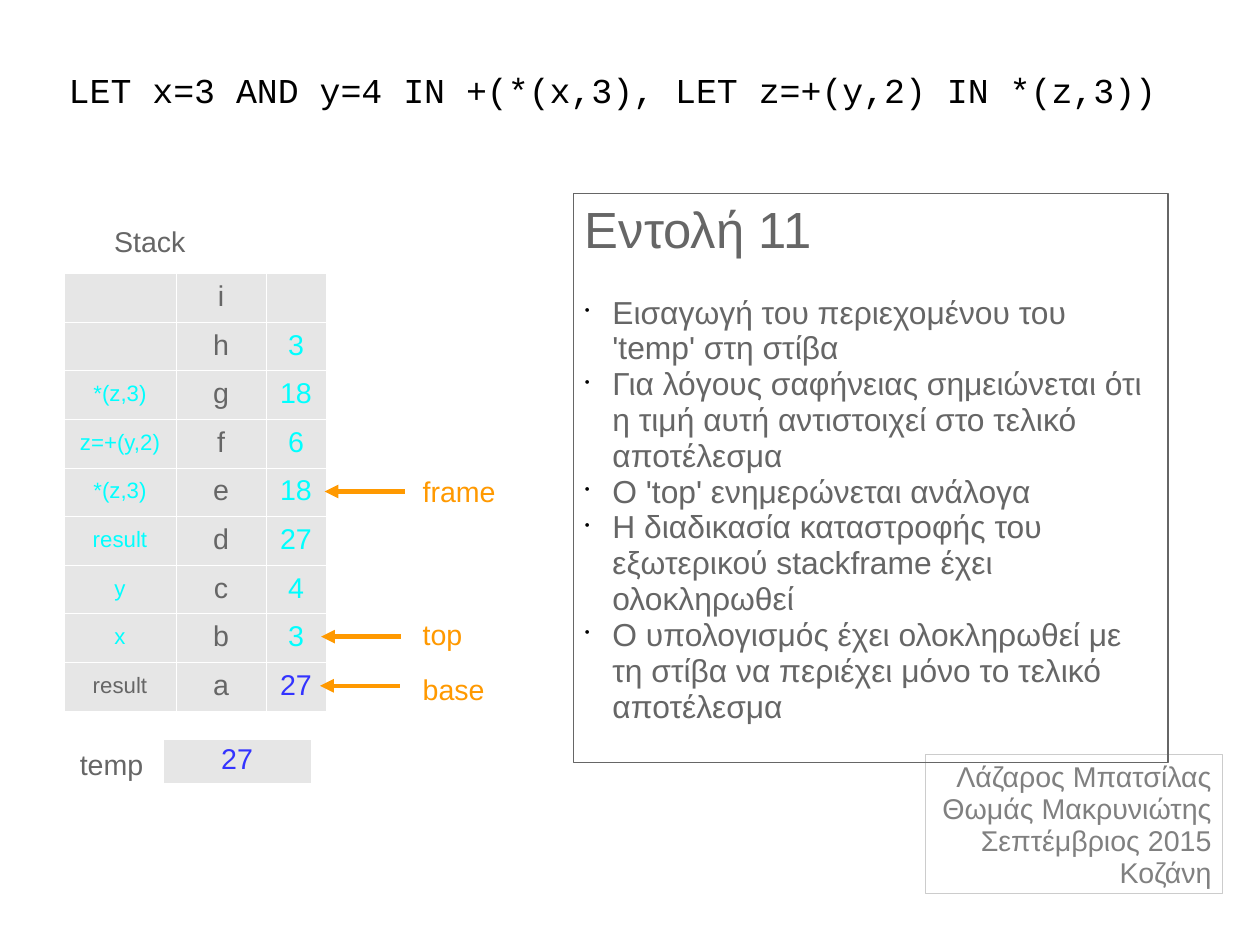
from dataclasses import dataclass

from lxml.etree import SubElement
from pptx import Presentation
from pptx.dml.color import RGBColor
from pptx.enum.shapes import MSO_CONNECTOR as Connector, MSO_SHAPE as Shape
from pptx.enum.text import MSO_ANCHOR as Anchor, PP_ALIGN as Align
from pptx.oxml import parse_xml
from pptx.oxml.ns import nsdecls, qn
from pptx.util import Inches, Pt


@dataclass(frozen=True)
class Theme:
    font: str = "Arial"
    code_font: str = "Courier New"
    black: str = "000000"
    text: str = "666666"
    credit: str = "808080"
    credit_line: str = "CCCCCC"
    cell: str = "E6E6E6"
    cell_line: str = "FFFFFF"
    old_value: str = "00FFFF"
    live_value: str = "3333FF"
    pointer: str = "FF9900"
    heading_size: int = 32
    code_size: int = 22
    bullet_size: int = 20
    body_size: int = 18
    note_size: int = 14
    spacing: float = 0.94


THEME = Theme()

EXPRESSION = "LET x=3 AND y=4 IN +(*(x,3), LET z=+(y,2) IN *(z,3))"
STACK = [
    ("", "i", ""),
    ("", "h", "3"),
    ("*(z,3)", "g", "18"),
    ("z=+(y,2)", "f", "6"),
    ("*(z,3)", "e", "18"),
    ("result", "d", "27"),
    ("y", "c", "4"),
    ("x", "b", "3"),
    ("result", "a", "27"),
]
# name, arrow tip x, arrow y, label top
POINTERS = [("frame", 2.84, 4.3, 4.11), ("base", 2.8, 6.0, 5.84), ("top", 2.81, 5.57, 5.36)]
CREDITS = ["Λάζαρος Μπατσίλας", "Θωμάς Μακρυνιώτης", "Σεπτέμβριος 2015", "Κοζάνη"]
HEADING = "Εντολή 11"
STEPS = [
    "Εισαγωγή του περιεχομένου του 'temp' στη στίβα",
    "Για λόγους σαφήνειας σημειώνεται ότι η τιμή αυτή αντιστοιχεί στο τελικό αποτέλεσμα",
    "Ο 'top' ενημερώνεται ανάλογα",
    "H διαδικασία καταστροφής του εξωτερικού stackframe έχει ολοκληρωθεί",
    "O υπολογισμός έχει ολοκληρωθεί με τη στίβα να περιέχει μόνο το τελικό αποτέλεσμα",
]


def rgb(color):
    return RGBColor.from_string(color)


def style(paragraph, size, color, align=Align.LEFT, font=THEME.font):
    paragraph.alignment = align
    paragraph.line_spacing = THEME.spacing
    for run in paragraph.runs:
        run.font.name = font
        run.font.size = Pt(size)
        run.font.color.rgb = rgb(color)


def set_frame(text_frame, top_inset):
    text_frame.word_wrap = True
    text_frame.vertical_anchor = Anchor.TOP
    text_frame.margin_left = text_frame.margin_right = Inches(0.1)
    text_frame.margin_top = Inches(top_inset)
    text_frame.margin_bottom = Inches(0.05)


def add_label(slide, box, text, color=THEME.text):
    label = slide.shapes.add_textbox(*map(Inches, box))
    set_frame(label.text_frame, 0.06)
    label.text_frame.text = text
    style(label.text_frame.paragraphs[0], THEME.body_size, color)


def add_outline(slide, box, line_color, lines, top_inset):
    """Add an unfilled rectangle with one paragraph per line and return its paragraphs."""
    outline = slide.shapes.add_shape(Shape.RECTANGLE, *map(Inches, box))
    outline.shadow.inherit = False
    outline.fill.background()
    outline.line.color.rgb = rgb(line_color)
    outline.line.width = Pt(0.75)
    set_frame(outline.text_frame, top_inset)
    outline.text_frame.text = "\n".join(lines)
    return outline.text_frame.paragraphs


def add_grid(slide, box, rows, widths):
    """Add a plain grey table with thin borders and return it."""
    frame = slide.shapes.add_table(len(rows), len(widths), *map(Inches, box))
    table = frame.table
    table.first_row = table.horz_banding = False
    for column, width in zip(table.columns, widths):
        column.width = Inches(width)
    for row in table.rows:
        row.height = Inches(box[3] / len(rows))
    for row, texts in zip(table.rows, rows):
        for cell, text in zip(row.cells, texts):
            cell.text = text
            cell.fill.solid()
            cell.fill.fore_color.rgb = rgb(THEME.cell)
            for index, side in enumerate(("lnL", "lnR", "lnT", "lnB")):
                border = parse_xml(
                    f'<a:{side} {nsdecls("a")} w="{Pt(0.06)}"><a:solidFill>'
                    f'<a:srgbClr val="{THEME.cell_line}"/></a:solidFill></a:{side}>')
                cell._tc.get_or_add_tcPr().insert(index, border)
    return table


def add_expression(slide, box):
    title = slide.shapes.add_textbox(*map(Inches, box))
    set_frame(title.text_frame, 0.01)
    title.text_frame.margin_left = title.text_frame.margin_right = 0
    title.text_frame.margin_bottom = 0
    title.text_frame.vertical_anchor = Anchor.MIDDLE
    title.text_frame.text = EXPRESSION
    style(title.text_frame.paragraphs[0], THEME.code_size, THEME.black,
          Align.CENTER, THEME.code_font)


def add_stack(slide, box):
    left, top, _, _ = box
    table = add_grid(slide, box, STACK, [0.98, 0.79, 0.52])
    sizes = [THEME.note_size, THEME.body_size, THEME.body_size]
    older = [THEME.old_value, THEME.text, THEME.old_value]
    base = [THEME.text, THEME.text, THEME.live_value]
    for number, row in enumerate(table.rows, 1):
        colors = base if number == len(STACK) else older
        for cell, size, color in zip(row.cells, sizes, colors):
            cell.vertical_anchor = Anchor.MIDDLE
            style(cell.text_frame.paragraphs[0], size, color, Align.CENTER)
    add_label(slide, (left + 0.34, top - 0.47, 1.2, 0.38), "Stack")


def add_temp(slide, box):
    left, top, _, height = box
    add_label(slide, (left, top + 0.03, 1.2, height), "temp")
    table = add_grid(slide, (left + 0.83, top, 1.29, height), [["27"]], [1.29])
    style(table.cell(0, 0).text_frame.paragraphs[0], THEME.body_size,
          THEME.live_value, Align.CENTER)


def add_pointer(slide, name, tip, middle, label_top):
    arrow = slide.shapes.add_connector(
        Connector.STRAIGHT, *map(Inches, (tip, middle, tip + 0.7, middle)))
    arrow.line.color.rgb = rgb(THEME.pointer)
    arrow.line.width = Pt(2.89)
    SubElement(arrow.line._get_or_add_ln(), qn("a:headEnd"), type="triangle")
    SubElement(arrow._element.spPr, qn("a:effectLst"))
    add_label(slide, (3.6, label_top, 2.4, 0.38), name, THEME.pointer)


def add_credits(slide, box):
    for paragraph in add_outline(slide, box, THEME.credit_line, CREDITS, 0.06):
        style(paragraph, THEME.body_size, THEME.credit, Align.RIGHT)


def add_explanation(slide, box):
    heading, *steps = add_outline(slide, box, THEME.text, [HEADING, *STEPS], 0.08)
    style(heading, THEME.heading_size, THEME.text)
    heading.space_after = Pt(22.5)
    for step in steps:
        style(step, THEME.bullet_size, THEME.text)
        properties = step._p.get_or_add_pPr()
        properties.set("marL", str(Inches(0.24)))
        properties.set("indent", str(-Inches(0.24)))
        bullet_color = SubElement(properties, qn("a:buClr"))
        SubElement(bullet_color, qn("a:srgbClr"), val=THEME.black)
        SubElement(properties, qn("a:buSzPct"), val="45000")
        SubElement(properties, qn("a:buChar"), char="•")


def main():
    presentation = Presentation()
    presentation.slide_width = Pt(793.75)
    presentation.slide_height = Pt(595.25)
    slide = presentation.slides.add_slide(presentation.slide_layouts[6])
    add_expression(slide, (0.4, 0.39, 9.92, 0.81))
    add_stack(slide, (0.56, 2.39, 2.29, 3.83))
    add_temp(slide, (0.6, 6.47, 2.12, 0.38))
    add_credits(slide, (8.1, 6.6, 2.6, 1.22))
    add_explanation(slide, (5.02, 1.69, 5.2, 4.98))
    for pointer in POINTERS:
        add_pointer(slide, *pointer)
    presentation.save("out.pptx")


if __name__ == "__main__":
    main()
